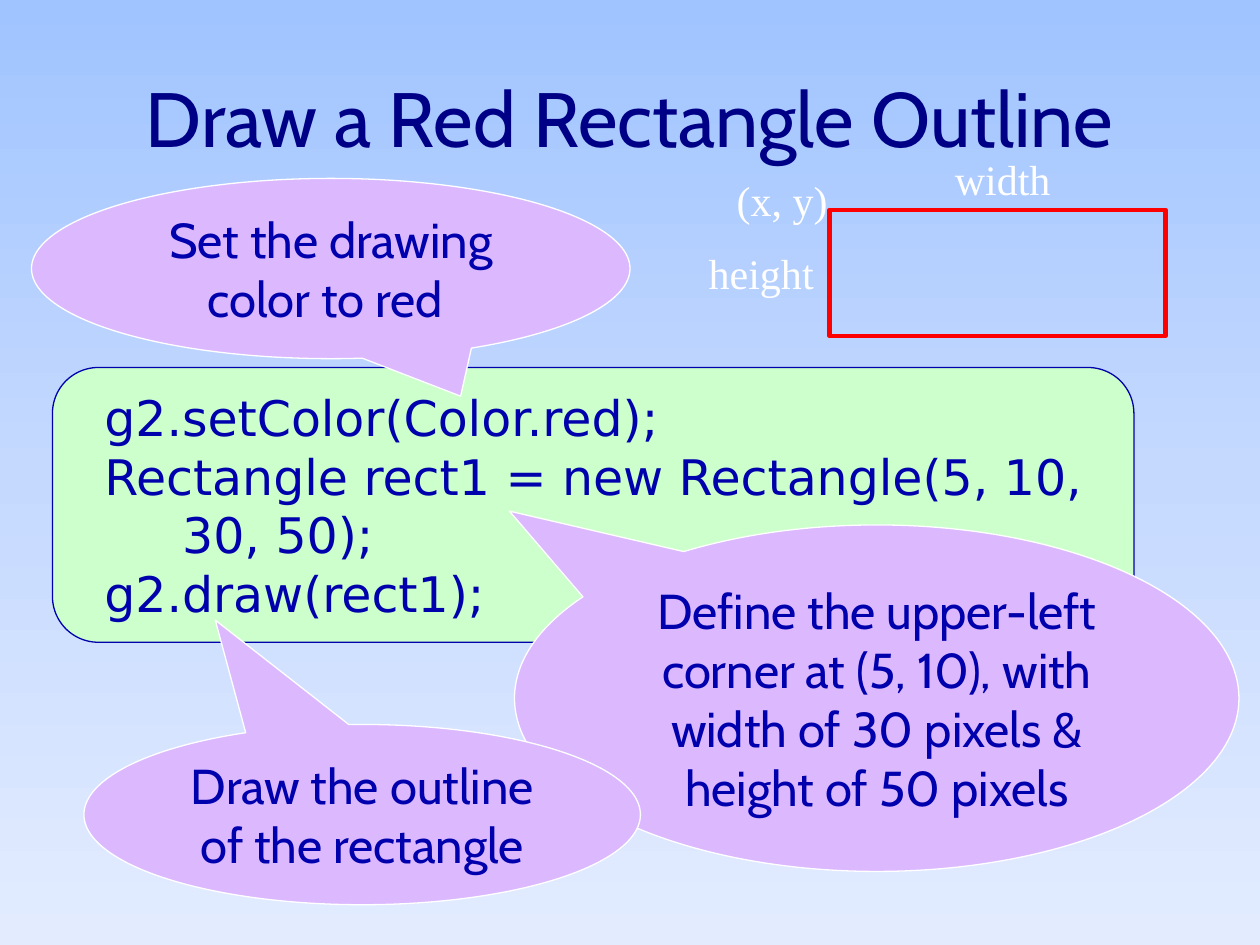
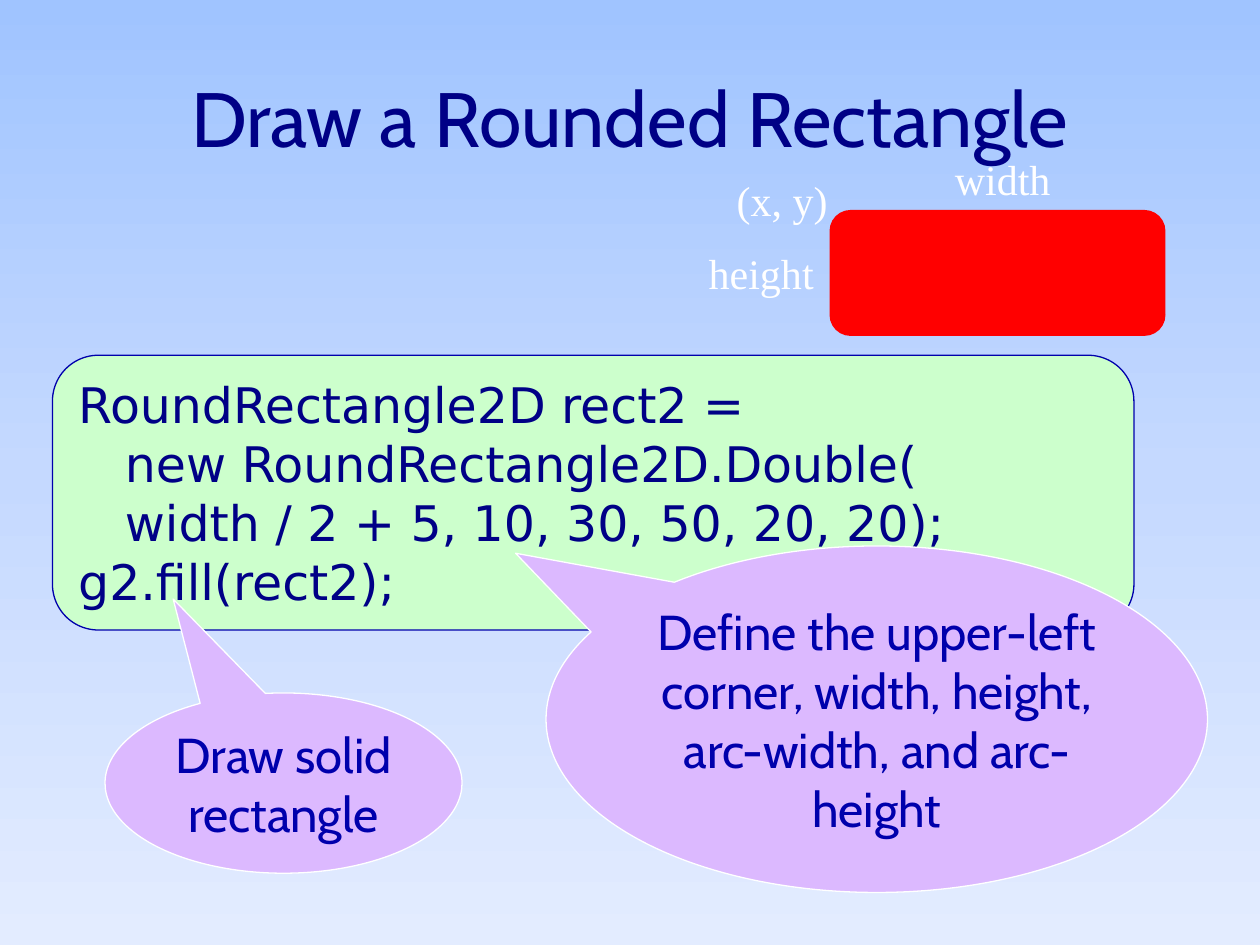
from lxml import etree
from pptx import Presentation
from pptx import util as u
from pptx.dml import color
from pptx.enum import shapes, text
from pptx.oxml import ns

SKY = [(0, "A0C4FF"), (50, "C5D9FF"), (100, "E3ECFF")]
NAVY, BLUE, WHITE, RED = "000086", "0000AC", "FFFFFF", "FF0000"
MINT, LILAC = "CCFFCC", "DCB9FF"
BODY_FONT, CODE_FONT, LABEL_FONT = "Cabin", "DejaVu Sans", "Times New Roman"
CODE_SPACE = 8.9
CORNER = 0.167
KIND = shapes.MSO_SHAPE
ALIGN = text.PP_ALIGN
LABELS = [("(x, y)", 396, 96), ("width", 522, 84), ("height", 384, 138)]


def rgb(value):
    return color.RGBColor.from_string(value)


def place(area):
    return [u.Pt(length) for length in area]


def add_page(deck):
    page = deck.slides.add_slide(deck.slide_layouts[6])
    fill = page.background.fill
    fill.gradient()
    fill.gradient_angle = 270
    stops = page.element.find(".//" + ns.qn("a:gsLst"))
    for stop in list(stops):
        stops.remove(stop)
    for percent, value in SKY:
        stop = etree.SubElement(stops, ns.qn("a:gs"), pos=str(percent * 1000))
        etree.SubElement(stop, ns.qn("a:srgbClr"), val=value)
    return page


def write(box, lines, font, size, ink, align=ALIGN.CENTER,
          anchor=text.MSO_ANCHOR.MIDDLE):
    frame = box.text_frame
    frame.word_wrap = True
    frame.vertical_anchor = anchor
    for number, line in enumerate(lines):
        para = frame.add_paragraph() if number else frame.paragraphs[0]
        para.alignment = align
        span = para.add_run()
        span.text = line
        span.font.name = font
        span.font.size = u.Pt(size)
        span.font.color.rgb = rgb(ink)


def add_title(page, title):
    box = page.shapes.add_textbox(*place((36, 21.6, 648, 90)))
    write(box, [title], BODY_FONT, 44, NAVY)


def add_figure(holder, kind, area, fill=None, line=None, weight=0.75, adjust=()):
    figure = holder.shapes.add_shape(kind, *place(area))
    figure.shadow.inherit = False
    if fill:
        figure.fill.solid()
        figure.fill.fore_color.rgb = rgb(fill)
    else:
        figure.fill.background()
    if line:
        figure.line.color.rgb = rgb(line)
        figure.line.width = u.Pt(weight)
    else:
        figure.line.fill.background()
    for number, value in enumerate(adjust):
        figure.adjustments[number] = value
    return figure


def add_code(page, top, lines, ink, inset):
    box = add_figure(page, KIND.ROUNDED_RECTANGLE, (30, top, 618, 157),
                     MINT, BLUE, adjust=[CORNER])
    box.text_frame.margin_left = u.Pt(inset)
    write(box, [line for line, spaces in lines], CODE_FONT, 28, ink, ALIGN.LEFT)
    for para, (line, spaces) in zip(box.text_frame.paragraphs, lines):
        indent = u.Pt(spaces * CODE_SPACE)
        para._p.get_or_add_pPr().set("marL", str(int(indent)))


def add_callout(page, area, tip, words):
    box = add_figure(page, KIND.OVAL_CALLOUT, area, LILAC, WHITE, adjust=tip)
    write(box, [words], BODY_FONT, 28, BLUE)


def add_diagram(page, kind, **style):
    group = page.shapes.add_group_shape()
    figure = group.shapes.add_shape
    add_figure(HolderOf(group), kind, (474, 120, 192, 72), **style)
    for label, left, top in LABELS:
        box = group.shapes.add_textbox(*place((left, top, 102, 36)))
        write(box, [label], LABEL_FONT, 24, WHITE, anchor=text.MSO_ANCHOR.TOP)


def HolderOf(group):
    return group


def outline_page(deck):
    page = add_page(deck)
    add_title(page, "Draw a Red Rectangle Outline")
    add_code(page, 210, [
        ("g2.setColor(Color.red);", 0),
        ("Rectangle rect1 = new Rectangle(5, 10,", 0),
        ("30, 50);", 5),
        ("g2.draw(rect1);", 0),
    ], BLUE, 22)
    add_callout(page, (18, 102, 342, 103), (0.217, 0.708),
                "Set the drawing color to red ")
    add_callout(page, (294, 300, 414, 198), (-0.507, -0.54),
                "Define the upper-left corner at (5, 10), "
                "with width of 30 pixels & height of 50 pixels")
    add_callout(page, (48, 414, 318, 103), (-0.264, -1.079),
                "Draw the outline of the rectangle")
    add_diagram(page, KIND.RECTANGLE, line=RED, weight=2.5)


def rounded_page(deck):
    page = add_page(deck)
    add_title(page, "Draw a Rounded Rectangle")
    add_code(page, 203, [
        ("RoundRectangle2D rect2 =", 0),
        ("new RoundRectangle2D.Double(", 3),
        ("width / 2 + 5, 10, 30, 50, 20, 20);", 3),
        ("g2.fill(rect2);", 0),
    ], NAVY, 7.2)
    add_callout(page, (312, 312, 378, 198), (-0.546, -0.479),
                "Define the upper-left corner, width, height, "
                "arc-width, and arc-height")
    add_callout(page, (60, 396, 204, 103), (-0.309, -1.021),
                "Draw solid rectangle")
    add_diagram(page, KIND.ROUNDED_RECTANGLE, fill=RED, adjust=[CORNER])


def main():
    deck = Presentation()
    deck.slide_width, deck.slide_height = u.Pt(720), u.Pt(540)
    outline_page(deck)
    rounded_page(deck)
    deck.save("out.pptx")


main()
